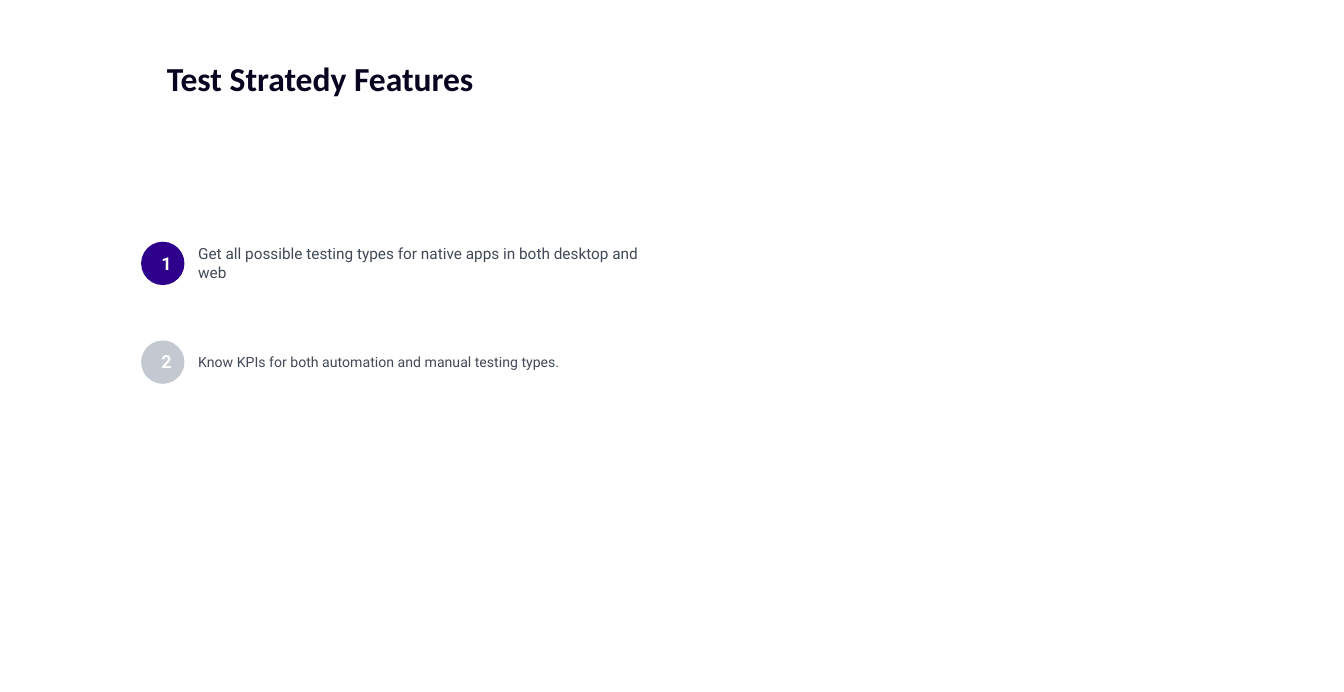
"""Build a slide with a title and two numbered test strategy features."""
from dataclasses import dataclass

from pptx import Presentation
from pptx.dml.color import RGBColor
from pptx.enum.shapes import MSO_SHAPE
from pptx.enum.text import MSO_ANCHOR, PP_ALIGN
from pptx.util import Pt

OVAL = MSO_SHAPE.OVAL
MIDDLE, BOTTOM = MSO_ANCHOR.MIDDLE, MSO_ANCHOR.BOTTOM
LEFT, CENTER = PP_ALIGN.LEFT, PP_ALIGN.CENTER

TITLE = "Test Stratedy Features"
ITEMS = [
    ("Get all possible testing types for native apps in both desktop and web", 12, 50, "2E008B"),
    ("Know KPIs for both automation and manual testing types.", 11, 29, "C4C9D1"),
]


@dataclass(frozen=True)
class Theme:
    """Hold the colours, fonts and type sizes."""
    paper: str = "FFFFFF"
    title: str = "06041F"
    body: str = "414956"
    head: str = "Calibri"
    text: str = "Roboto"
    big: float = 26.2
    digit: int = 14


THEME = Theme()
PX = 9144
WIDE, HIGH = 1457, 750
DISC = 47
DISC_X, TEXT_X, TEXT_W = 153, 205, 503
FIRST, STEP = 285, 107
DIGIT_W, DIGIT_H = 22, 24


def px(*sizes):
    """Turn px lengths into EMU."""
    return [size * PX for size in sizes]


def write(slide, box, text, font, size, color, bold=False,
          anchor=MIDDLE, align=LEFT, pad=(10, 5, 10, 5)):
    """Add one text box with one run."""
    frame = slide.shapes.add_textbox(*px(*box)).text_frame
    frame.word_wrap = True
    frame.vertical_anchor = anchor
    (frame.margin_left, frame.margin_top,
     frame.margin_right, frame.margin_bottom) = px(*pad)
    line = frame.paragraphs[0]
    line.alignment = align
    run = line.add_run()
    run.text = text
    run.font.name = font
    run.font.size = Pt(size)
    run.font.bold = bold
    run.font.color.rgb = RGBColor.from_string(color)


def disc(slide, mid, color):
    """Add the round badge behind a number."""
    shape = slide.shapes.add_shape(OVAL, *px(DISC_X, mid - DISC // 2, DISC, DISC))
    shape.shadow.inherit = False
    shape.fill.solid()
    shape.fill.fore_color.rgb = RGBColor.from_string(color)
    shape.line.fill.background()


def main():
    """Lay out the slide and save it."""
    deck = Presentation()
    deck.slide_width, deck.slide_height = px(WIDE, HIGH)
    slide = deck.slides.add_slide(deck.slide_layouts[6])
    fill = slide.background.fill
    fill.solid()
    fill.fore_color.rgb = RGBColor.from_string(THEME.paper)

    for index, (text, size, tall, color) in enumerate(ITEMS):
        mid = FIRST + index * STEP
        write(slide, (TEXT_X, mid - tall // 2, TEXT_W, tall),
              text, THEME.text, size, THEME.body)
        disc(slide, mid, color)
        write(slide, (DISC_X + (DISC - DIGIT_W) // 2, mid - DIGIT_H // 2, DIGIT_W, DIGIT_H),
              str(index + 1), THEME.text, THEME.digit, THEME.paper,
              bold=True, align=CENTER, pad=(10, 0, 10, 0))

    write(slide, (173, 57, 1002, 54), TITLE, THEME.head, THEME.big, THEME.title,
          bold=True, anchor=BOTTOM, pad=(8, 5, 10, 5))
    deck.save("out.pptx")


if __name__ == "__main__":
    main()
